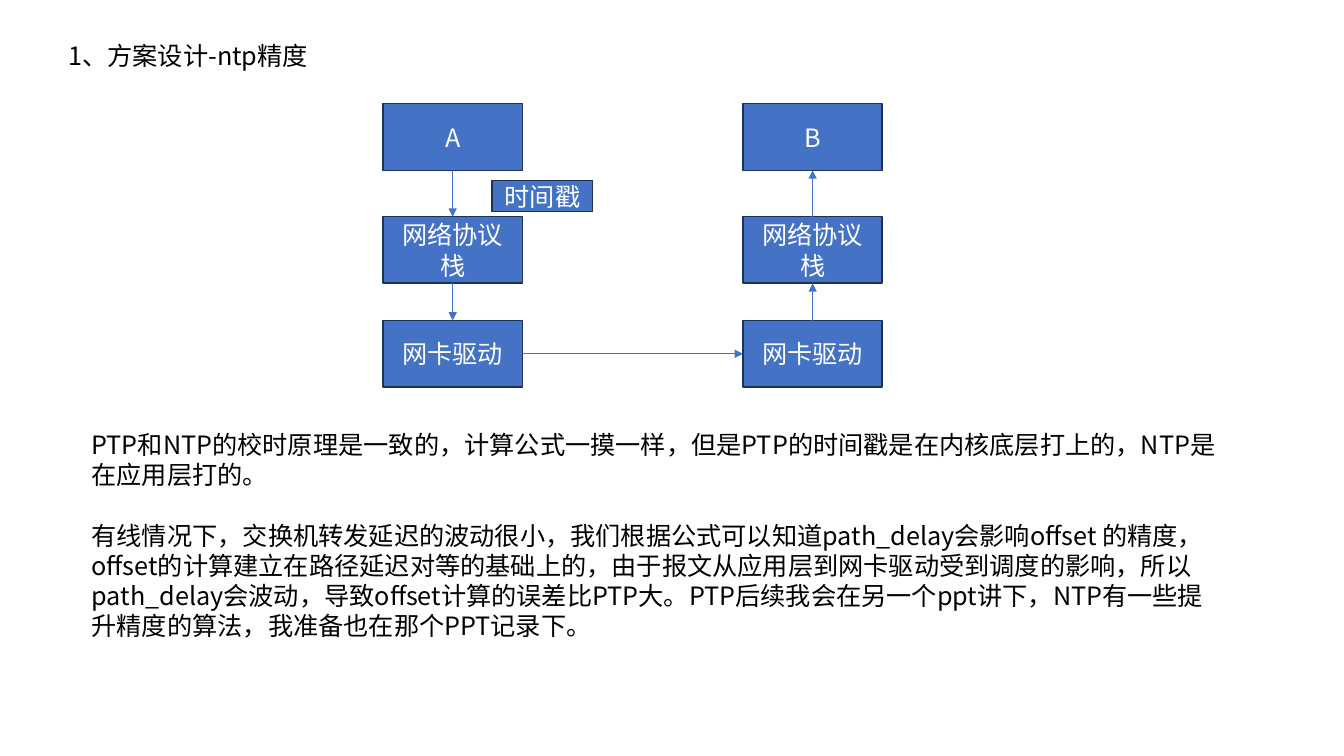
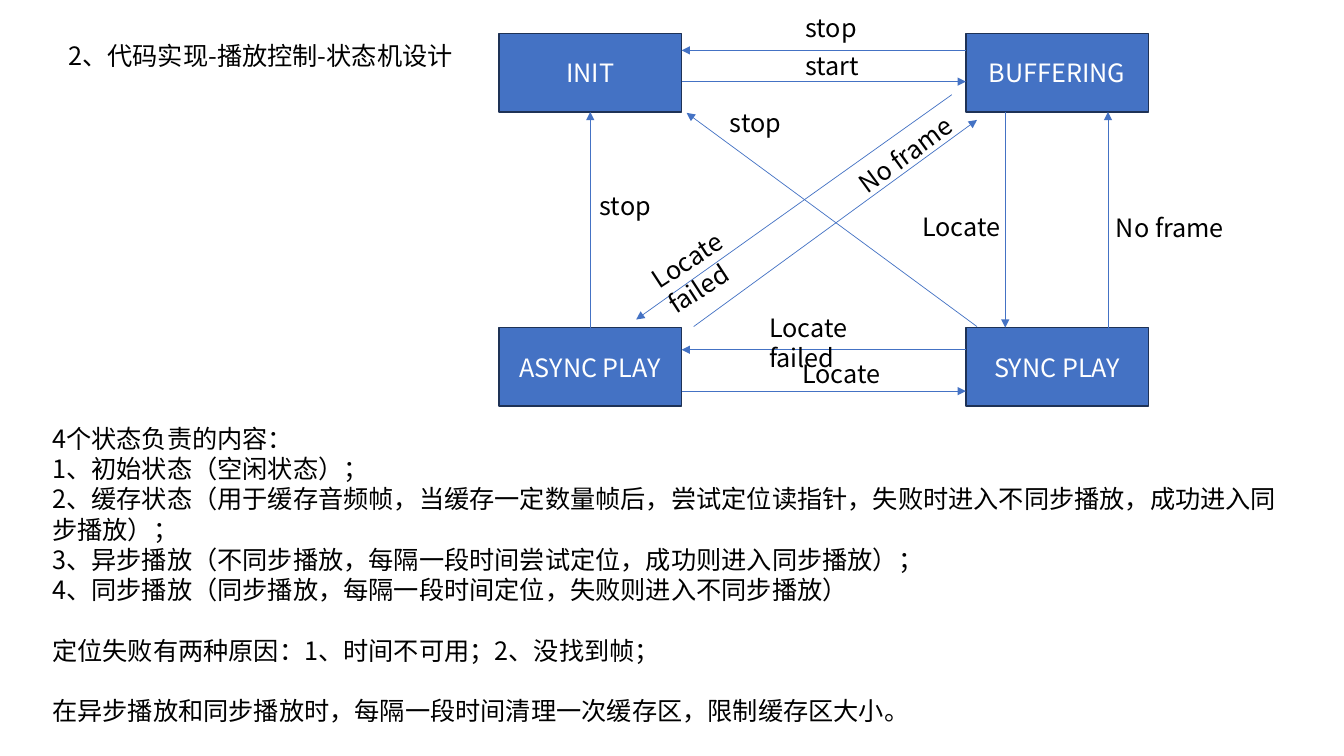
from lxml import etree
from pptx import Presentation
from pptx import util as u
from pptx.dml.color import RGBColor
from pptx.enum import shapes, text
from pptx.oxml.ns import qn

PX = 9144
FONT = "Noto Sans CJK SC"
BLUE, EDGE, BLACK, WHITE = "4472C4", "1E3256", "000000", "FFFFFF"
TOP, LEFT, BOTTOM, RIGHT = range(4)


def px(length):
    """Turn whole px, a hundred to the inch, into EMU."""
    return u.Emu(length * PX)


def rgb(value):
    """Turn a hex string into a colour."""
    return RGBColor.from_string(value)


class Slides:
    """Hold the shared style and the current slide."""

    def __init__(self):
        """Start an empty widescreen deck."""
        self.deck = Presentation()
        self.deck.slide_width, self.deck.slide_height = px(1333), px(750)
        self.page = None

    def new_page(self, title, width):
        """Add a blank slide with its title."""
        self.page = self.deck.slides.add_slide(self.deck.slide_layouts[6])
        self.label(title, 58, 35, width)

    def style(self, para, color):
        """Give every run of a paragraph the shared font."""
        for span in para.runs:
            span.font.name, span.font.size = FONT, u.Pt(18)
            span.font.color.rgb = rgb(color)
            east = etree.SubElement(span.font._element, qn("a:ea"))
            east.set("typeface", FONT)

    def label(self, words, left, top, width, height=40, angle=0, gaps=()):
        """Add a wrapping text box, with a blank line's space before the gaps."""
        box = self.page.shapes.add_textbox(px(left), px(top), px(width), px(height))
        box.rotation = angle
        frame = box.text_frame
        frame.text = words
        frame.word_wrap = True
        frame.auto_size = text.MSO_AUTO_SIZE.SHAPE_TO_FIT_TEXT
        for index, para in enumerate(frame.paragraphs):
            self.style(para, BLACK)
            if index in gaps:
                para.space_before = u.Pt(21.6)

    def box(self, words, left, top, width, height):
        """Add a filled rectangle with centred text."""
        box = self.page.shapes.add_shape(
            shapes.MSO_SHAPE.RECTANGLE, px(left), px(top), px(width), px(height))
        box.shadow.inherit = False
        box.fill.solid()
        box.fill.fore_color.rgb = rgb(BLUE)
        box.line.color.rgb = rgb(EDGE)
        box.line.width = u.Pt(1)
        frame = box.text_frame
        frame.text = words
        frame.word_wrap = True
        frame.vertical_anchor = text.MSO_ANCHOR.MIDDLE
        para = frame.paragraphs[0]
        para.alignment = text.PP_ALIGN.CENTER
        self.style(para, WHITE)
        return box

    def arrow(self, x1=0, y1=0, x2=0, y2=0):
        """Add a thin arrow between two points."""
        line = self.page.shapes.add_connector(
            shapes.MSO_CONNECTOR.STRAIGHT, px(x1), px(y1), px(x2), px(y2))
        line.line.color.rgb = rgb(BLUE)
        line.line.width = u.Pt(0.5)
        etree.SubElement(line.line._get_or_add_ln(), qn("a:tailEnd")).set("type", "triangle")
        etree.SubElement(line._element.spPr, qn("a:effectLst"))
        return line

    def join(self, start, start_side, end, end_side):
        """Add an arrow joined to the sides of two boxes."""
        line = self.arrow()
        line.begin_connect(start, start_side)
        line.end_connect(end, end_side)


def ntp_accuracy(slides):
    """Build the slide on NTP accuracy."""
    slides.new_page("1、方案设计-ntp精度", 259)
    slides.label(
        "PTP和NTP的校时原理是一致的，计算公式一摸一样，但是PTP的时间戳是在内核底层打上的，"
        "NTP是在应用层打的。\n"
        "有线情况下，交换机转发延迟的波动很小，我们根据公式可以知道path_delay会影响offset 的精度，"
        " offset的计算建立在路径延迟对等的基础上的，由于报文从应用层到网卡驱动受到调度的影响，"
        "所以path_delay会波动，导致offset计算的误差比PTP大。PTP后续我会在另一个ppt讲下，"
        "NTP有一些提升精度的算法，我准备也在那个PPT记录下。",
        81, 421, 1145, 222, gaps=(1,))
    sender, receiver = (
        [slides.box(words, left, top, 138, 66)
         for words, top in zip((host, "网络协议栈", "网卡驱动"), (103, 215, 318))]
        for host, left in (("A", 380), ("B", 737)))
    for upper, lower in zip(sender, sender[1:]):
        slides.join(upper, BOTTOM, lower, TOP)
    slides.join(sender[-1], RIGHT, receiver[-1], LEFT)
    for upper, lower in zip(receiver, receiver[1:]):
        slides.join(lower, TOP, upper, BOTTOM)
    slides.box("时间戳", 488, 179, 100, 31)


def state_machine(slides):
    """Build the slide on the playback state machine."""
    slides.new_page("2、代码实现-播放控制-状态机设计", 412)
    west, east, north, south, width, height = 495, 958, 33, 325, 181, 78
    init = slides.box("INIT", west, north, width, height)
    slides.box("BUFFERING", east, north, width, height)
    async_play = slides.box("ASYNC PLAY", west, south, width, height)
    slides.box("SYNC PLAY", east, south, width, height)

    inner, below = west + width, north + height
    slides.join(async_play, TOP, init, BOTTOM)
    for ends in (
            (east, 50, inner, 50), (inner, 81, east, 81),
            (east, 347, inner, 347), (inner, 388, east, 388),
            (997, below, 997, south), (1099, south, 1099, below),
            (944, 94, 631, 317), (688, 324, 969, 119), (969, 324, 681, 112)):
        slides.arrow(*ends)

    slides.label(
        "4个状态负责的内容：\n"
        "1、初始状态（空闲状态）；\n"
        "2、缓存状态（用于缓存音频帧，当缓存一定数量帧后，尝试定位读指针，"
        "失败时进入不同步播放，成功进入同步播放）；\n"
        "3、异步播放（不同步播放，每隔一段时间尝试定位，成功则进入同步播放）；\n"
        "4、同步播放（同步播放，每隔一段时间定位，失败则进入不同步播放）\n"
        "定位失败有两种原因：1、时间不可用；2、没找到帧；\n"
        "在异步播放和同步播放时，每隔一段时间清理一次缓存区，限制缓存区大小。",
        42, 415, 1249, 313, gaps=(5, 6))
    for words, left, top, span, angle in (
            ("start", 789, 45, 89, 0), ("stop", 789, 7, 89, 0),
            ("No frame", 1097, 206, 134, 0), ("Locate", 905, 205, 104, 0),
            ("Locate failed", 753, 305, 161, 0), ("Locate", 786, 351, 103, 0),
            ("stop", 585, 184, 103, 0), ("stop", 714, 102, 73, 0),
            ("Locate failed", 628, 221, 159, 326.9), ("No frame", 834, 131, 134, 323.9)):
        slides.label(words, left, top, span, angle=angle)


def main():
    """Build and save the deck."""
    slides = Slides()
    ntp_accuracy(slides)
    state_machine(slides)
    slides.deck.save("out.pptx")


if __name__ == "__main__":
    main()
